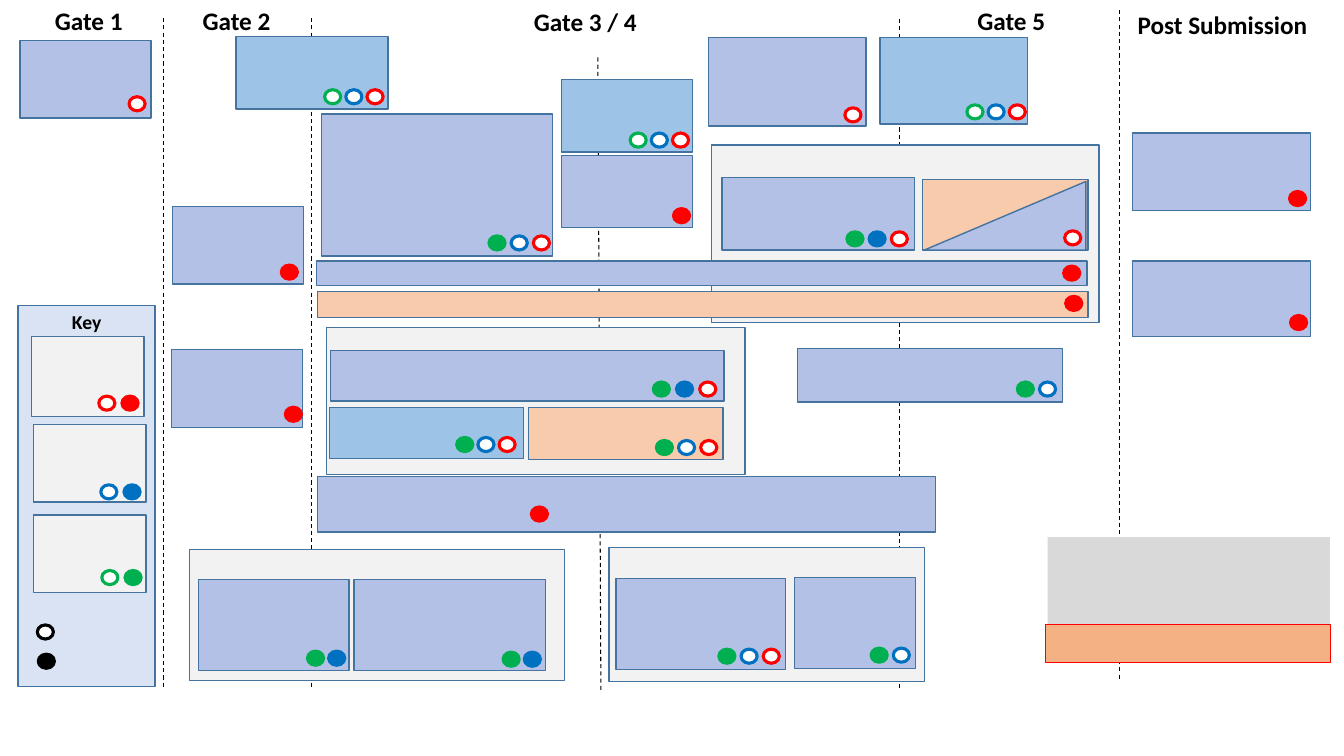
"""Builds a submission process map with gates, activity boxes and status markers."""
from lxml.etree import SubElement
from pptx import Presentation
from pptx.dml.color import RGBColor
from pptx.enum.dml import MSO_LINE
from pptx.enum.shapes import MSO_CONNECTOR, MSO_SHAPE
from pptx.enum.text import MSO_ANCHOR, MSO_AUTO_SIZE, PP_ALIGN
from pptx.oxml.ns import qn
from pptx.util import Pt

PX = 9144
BLACK = RGBColor(0x00, 0x00, 0x00)
WHITE = RGBColor(0xFF, 0xFF, 0xFF)
RED = RGBColor(0xFF, 0x00, 0x00)
BLUE = RGBColor(0x00, 0x70, 0xC0)
GREEN = RGBColor(0x00, 0xB0, 0x50)
OUTLINE = RGBColor(0x43, 0x73, 0x9E)
PERIWINKLE = RGBColor(0xB4, 0xC1, 0xE6)
SKY = RGBColor(0x9D, 0xC3, 0xE6)
PEACH = RGBColor(0xF8, 0xCB, 0xAD)
PANEL = RGBColor(0xF2, 0xF2, 0xF2)
KEY_FILL = RGBColor(0xDA, 0xE3, 0xF3)
ORANGE = RGBColor(0xF4, 0xB1, 0x83)
GREY = RGBColor(0xD9, 0xD9, 0xD9)

FONT = "Calibri"
MARKER_SIZE = (16, 14)
MARKER_COLOURS = {"r": RED, "b": BLUE, "g": GREEN, "k": BLACK}

GATE_LINES = [
    (1110, 10, 1110, 675),
    (593, 57, 596, 685),
    (892, 19, 892, 685),
    (162, 18, 162, 684),
    (309, 18, 309, 684),
]

HEADINGS = [
    ("Gate 1", 17, 0, 142),
    ("Gate 2", 164, 0, 141),
    ("Gate 3 / 4", 291, 1, 579),
    ("Gate 5", 896, 0, 214),
    ("Post Submission", 1110, 4, 205),
]
HEADING_HEIGHT = 37

PANELS = [
    (188, 545, 372, 130),
    (324, 325, 415, 146),
    (604, 543, 313, 133),
    (706, 144, 384, 176),
]

KEY_BOX = (18, 303, 136, 378)
KEY_ENTRIES = [
    ((31, 334, 112, 79), "rR", 98, 393, 23),
    ((33, 421, 112, 77), "bB", 100, 481, 23),
    ((33, 511, 112, 77), "gG", 101, 566, 23),
]
KEY_MARKERS = [("k", 37, 620), ("K", 38, 649)]

SPLIT_BOX = (915, 178, 164, 70)
SPLIT_HALF = (917, 180, 160, 68)
SPLIT_MARKER = ("r", 1056, 229)

# Each activity: area, fill, markers (capital = solid), first marker x and y, marker step.
ACTIVITIES = [
    ((20, 40, 130, 77), PERIWINKLE, "r", 128, 96, 0),
    ((171, 205, 130, 77), PERIWINKLE, "R", 279, 263, 0),
    ((170, 347, 130, 77), PERIWINKLE, "R", 283, 404, 0),
    ((234, 36, 151, 72), SKY, "gbr", 322, 89, 21),
    ((319, 113, 229, 141), PERIWINKLE, "Gbr", 485, 234, 22),
    ((557, 79, 130, 72), SKY, "gbr", 625, 132, 21),
    ((557, 154, 130, 72), PERIWINKLE, "R", 668, 207, 0),
    ((703, 37, 156, 88), PERIWINKLE, "r", 838, 107, 0),
    ((873, 37, 146, 86), SKY, "gbr", 959, 104, 21),
    ((716, 176, 191, 72), PERIWINKLE, "GBr", 840, 230, 22),
    ((314, 259, 764, 24), PERIWINKLE, "R", 1055, 264, 0),
    ((315, 289, 764, 26), PEACH, "R", 1057, 294, 0),
    ((328, 348, 390, 50), PERIWINKLE, "GBr", 648, 379, 23),
    ((327, 404, 192, 51), SKY, "Gbr", 453, 434, 21),
    ((524, 404, 193, 52), PEACH, "Gbr", 651, 437, 22),
    ((791, 346, 263, 53), PERIWINKLE, "Gb", 1009, 379, 22),
    ((315, 473, 613, 55), PERIWINKLE, "R", 527, 503, 0),
    ((197, 575, 149, 90), PERIWINKLE, "GB", 305, 646, 21),
    ((351, 575, 190, 90), PERIWINKLE, "GB", 499, 647, 21),
    ((611, 574, 168, 90), PERIWINKLE, "Gbr", 713, 644, 22),
    ((788, 573, 120, 90), PERIWINKLE, "Gb", 864, 643, 22),
    ((1123, 132, 177, 77), PERIWINKLE, "R", 1279, 190, 0),
    ((1123, 259, 177, 75), PERIWINKLE, "R", 1280, 313, 0),
]

ORANGE_BAR = (1037, 620, 283, 37)
GREY_BLOCK = (1039, 533, 280, 86)


def emu(lengths):
    return [length * PX for length in lengths]


def add_figure(shapes, area, fill, line=OUTLINE, weight=1, preset=MSO_SHAPE.RECTANGLE):
    figure = shapes.add_shape(preset, *emu(area))
    figure.shadow.inherit = False
    figure.fill.solid()
    figure.fill.fore_color.rgb = fill
    if line is None:
        figure.line.fill.background()
    else:
        figure.line.color.rgb = line
        figure.line.width = Pt(weight)
    return figure


def add_markers(shapes, codes, left, top, step=0):
    for index, code in enumerate(codes):
        colour = MARKER_COLOURS[code.lower()]
        fill = colour if code.isupper() else WHITE
        area = (left + index * step, top, *MARKER_SIZE)
        add_figure(shapes, area, fill, colour, 2.25, MSO_SHAPE.OVAL)


def add_gate_line(shapes, ends):
    gate_line = shapes.add_connector(MSO_CONNECTOR.STRAIGHT, *emu(ends))
    gate_line.line.color.rgb = BLACK
    gate_line.line.width = Pt(0.75)
    gate_line.line.dash_style = MSO_LINE.DASH
    SubElement(gate_line._element.spPr, qn("a:effectLst"))


def write_label(frame, label, size):
    frame.word_wrap = True
    frame.vertical_anchor = MSO_ANCHOR.TOP
    paragraph = frame.paragraphs[0]
    paragraph.alignment = PP_ALIGN.CENTER
    run = paragraph.add_run()
    run.text = label
    run.font.name = FONT
    run.font.size = Pt(size)
    run.font.bold = True
    run.font.color.rgb = BLACK


def main():
    deck = Presentation()
    deck.slide_width, deck.slide_height = emu((1333, 750))
    shapes = deck.slides.add_slide(deck.slide_layouts[6]).shapes

    for ends in GATE_LINES:
        add_gate_line(shapes, ends)
    for label, left, top, width in HEADINGS:
        heading = shapes.add_textbox(*emu((left, top, width, HEADING_HEIGHT)))
        write_label(heading.text_frame, label, 18)
        heading.text_frame.auto_size = MSO_AUTO_SIZE.SHAPE_TO_FIT_TEXT

    for area in PANELS:
        add_figure(shapes, area, PANEL)
    for area, fill, *markers in ACTIVITIES:
        add_figure(shapes, area, fill)
        add_markers(shapes, *markers)

    add_figure(shapes, SPLIT_BOX, PEACH)
    split_half = add_figure(shapes, SPLIT_HALF, PERIWINKLE, preset=MSO_SHAPE.ISOSCELES_TRIANGLE)
    split_half.adjustments[0] = 1
    add_markers(shapes, *SPLIT_MARKER)

    key = add_figure(shapes, KEY_BOX, KEY_FILL)
    write_label(key.text_frame, "Key", 14)
    for area, *markers in KEY_ENTRIES:
        add_figure(shapes, area, PANEL)
        add_markers(shapes, *markers)
    for marker in KEY_MARKERS:
        add_markers(shapes, *marker)

    add_figure(shapes, ORANGE_BAR, ORANGE, RED, 0.75)
    add_figure(shapes, GREY_BLOCK, GREY, None)
    deck.save("out.pptx")


if __name__ == "__main__":
    main()
